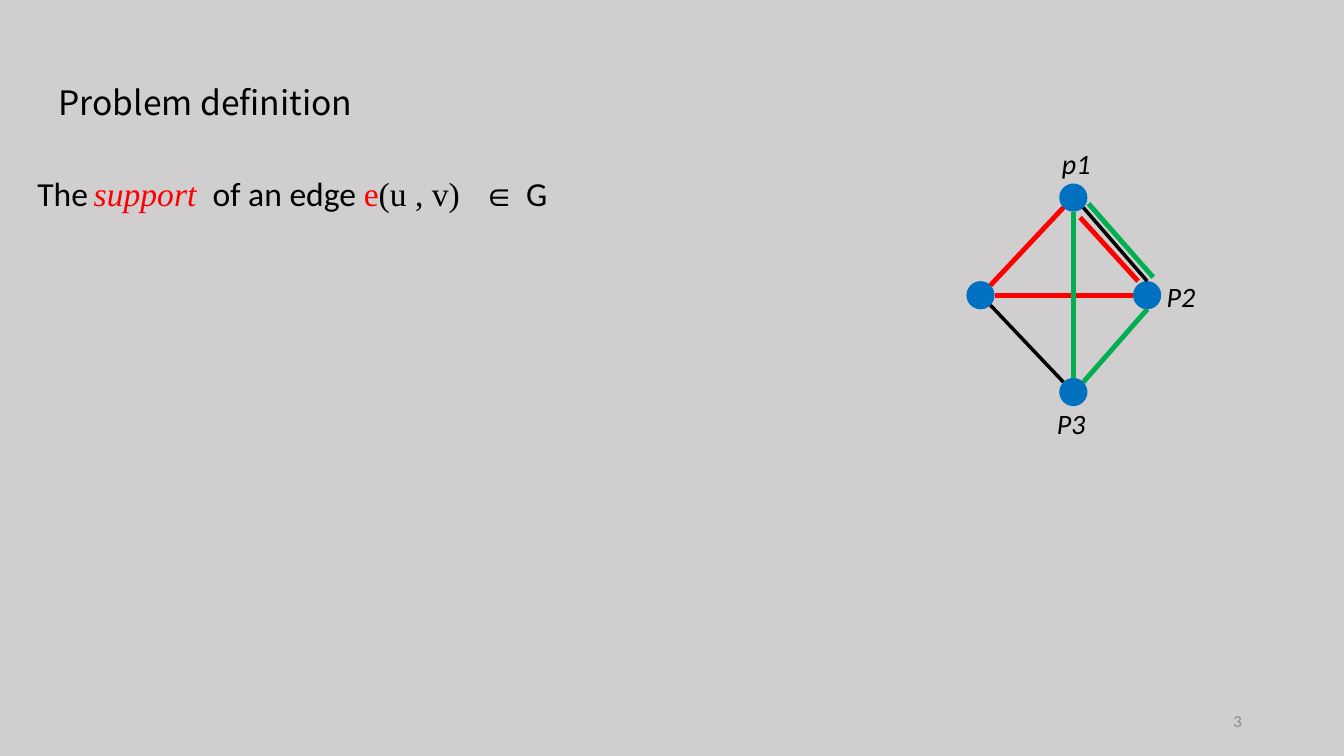
from math import hypot
from lxml.etree import SubElement
from pptx import Presentation
from pptx.dml.color import RGBColor
from pptx.enum.shapes import MSO_CONNECTOR, MSO_SHAPE
from pptx.enum.text import MSO_ANCHOR, MSO_AUTO_SIZE, PP_ALIGN
from pptx.oxml.ns import qn
from pptx.util import Cm, Pt

BLACK, RED, GREEN, BLUE, GREY = "000000", "FF0000", "00B050", "0070C0", "8C8C8C"
BACKGROUND = "D0CECE"
SERIF = "Times New Roman"
DIAMETER = 0.71

# Node centres in cm, relative to the graph box
NODES = {"left": (0.35, 3.88), "top": (2.69, 1.42),
         "right": (4.55, 3.88), "bottom": (2.69, 6.32)}
LABELS = [("p1", "top", (-0.66, -1.42)), ("P2", "right", (0.12, -0.53)),
          ("P3", "bottom", (-0.79, 0.25))]
NORTH, SOUTH, EAST, WEST = (0, -1), (0, 1), (1, 0), (-1, 0)
NORTHEAST, SOUTHEAST, SOUTHWEST, NORTHWEST = (1, -1), (1, 1), (-1, 1), (-1, -1)
# Start node and side, end node and side, colour of the path over the edge
EDGES = [("left", EAST, "right", WEST, RED),
         ("top", SOUTHEAST, "right", NORTH, None),
         ("top", SOUTHWEST, "left", NORTHEAST, RED),
         ("top", SOUTH, "bottom", NORTH, GREEN),
         ("right", SOUTH, "bottom", NORTHEAST, GREEN),
         ("left", SOUTHEAST, "bottom", NORTHWEST, None)]
# Paths beside the p1-P2 edge: shift of its start and of its end
SIDE_PATHS = [(GREEN, (0.13, -0.1), (0.15, -0.1)),
              (RED, (-0.08, 0.25), (-0.23, 0))]


def colour(value):
    return RGBColor.from_string(value)


def style_font(font, size, name, value, italic=False):
    font.size, font.name, font.italic = Pt(size), name, italic
    font.color.rgb = colour(value)


def add_text(page, box, text, size, value, align, italic=False):
    shape = page.shapes.add_textbox(*(Cm(length) for length in box))
    frame = shape.text_frame
    frame.word_wrap = True
    para = frame.paragraphs[0]
    para.text, para.alignment = text, align
    style_font(para.font, size, "Calibri", value, italic)
    return frame


def add_title(page, box):
    title = page.shapes.title
    title.left, title.top, title.width, title.height = (Cm(length) for length in box)
    frame = title.text_frame
    frame.word_wrap = False
    frame.auto_size = MSO_AUTO_SIZE.NONE
    frame.vertical_anchor = MSO_ANCHOR.TOP
    para = frame.paragraphs[0]
    para.text = "Problem definition"
    para.alignment, para.line_spacing = PP_ALIGN.LEFT, 1.5
    style_font(para.font, 24, "Noto Sans CJK SC", BLACK)


def add_definition(page, box):
    shape = page.shapes.add_textbox(*(Cm(length) for length in box))
    frame = shape.text_frame
    frame.word_wrap = True
    para = frame.paragraphs[0]
    stops = SubElement(para._p.get_or_add_pPr(), qn("a:tabLst"))
    for position in (4.42, 11.22, 12.32):
        SubElement(stops, qn("a:tab"), pos=str(Cm(position)), algn="l")
    for text, size, name, value, italic in [
            ("The", 24, "Calibri", BLACK, False),
            (" ", 18, "Calibri", BLACK, False),
            ("support", 24, SERIF, RED, True),
            ("\tof an edge ", 24, "Calibri", BLACK, False),
            ("e", 24, SERIF, RED, False),
            ("(u , v)\t∈", 24, SERIF, BLACK, False),
            ("\tG", 24, "Calibri", BLACK, False)]:
        span = para.add_run()
        span.text = text
        style_font(span.font, size, name, value, italic)


def add_line(page, start, end, value, width):
    line = page.shapes.add_connector(
        MSO_CONNECTOR.STRAIGHT, *(Cm(length) for length in (*start, *end)))
    line.line.color.rgb = colour(value)
    line.line.width = Pt(width)
    SubElement(line._element.spPr, qn("a:effectLst"))


def shifted(point, shift):
    return point[0] + shift[0], point[1] + shift[1]


def rim_point(centre, side):
    """Return the point of a node's outline that faces the given side."""
    scale = DIAMETER / 2 / hypot(*side)
    return shifted(centre, (side[0] * scale, side[1] * scale))


def add_graph(page, origin):
    centres = {name: shifted(origin, centre) for name, centre in NODES.items()}
    for x, y in centres.values():
        node = page.shapes.add_shape(
            MSO_SHAPE.OVAL, Cm(x - DIAMETER / 2), Cm(y - DIAMETER / 2),
            Cm(DIAMETER), Cm(DIAMETER))
        node.shadow.inherit = False
        node.fill.solid()
        node.fill.fore_color.rgb = colour(BLUE)
        node.line.fill.background()
    for text, name, shift in LABELS:
        place = shifted(centres[name], shift)
        add_text(page, (*place, 1.47, 1.12), text, 20, BLACK, PP_ALIGN.CENTER, True)

    lines = [(rim_point(centres[first], leave), rim_point(centres[last], arrive), path)
             for first, leave, last, arrive, path in EDGES]
    for start, end, _ in lines:
        add_line(page, start, end, BLACK, 2.5)
    for start, end, path in lines:
        if path:
            add_line(page, start, end, path, 3.5)
    start, end, _ = lines[1]
    for path, start_shift, end_shift in SIDE_PATHS:
        add_line(page, shifted(start, start_shift), shifted(end, end_shift), path, 3.5)


def add_page_number(page, box):
    frame = add_text(page, box, "3", 12, GREY, PP_ALIGN.RIGHT)
    frame.vertical_anchor = MSO_ANCHOR.MIDDLE


def main():
    deck = Presentation()
    deck.slide_width, deck.slide_height = Cm(33.87), Cm(19.05)
    page = deck.slides.add_slide(deck.slide_layouts[5])
    page.background.fill.solid()
    page.background.fill.fore_color.rgb = colour(BACKGROUND)
    add_title(page, (1.22, 1.42, 8.13, 1.63))
    add_definition(page, (0.69, 4.24, 13.9, 1.27))
    add_graph(page, (24.36, 3.56))
    add_page_number(page, (23.93, 17.65, 7.62, 1.02))
    deck.save("out.pptx")


if __name__ == "__main__":
    main()
